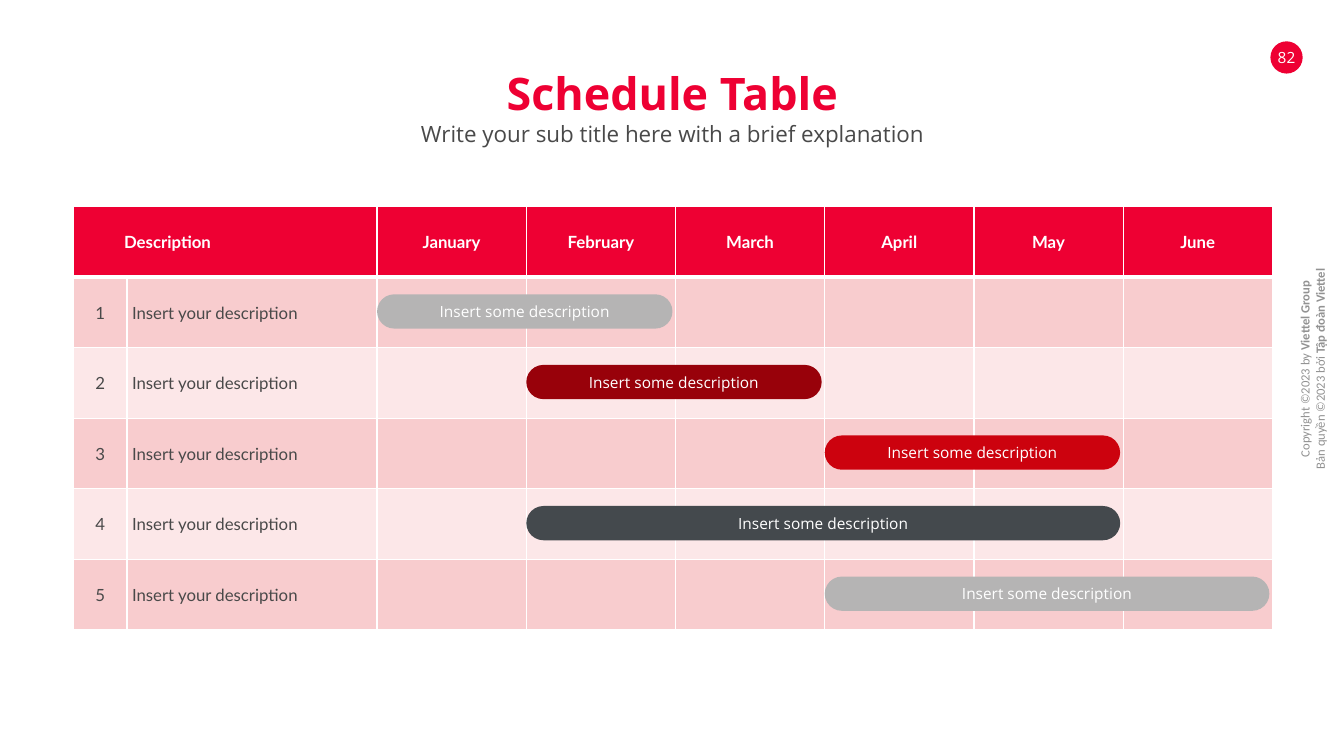
from dataclasses import dataclass
from lxml.etree import SubElement
from pptx import Presentation
from pptx.dml.color import RGBColor
from pptx.enum.shapes import MSO_SHAPE
from pptx.enum.text import MSO_ANCHOR, MSO_AUTO_SIZE, PP_ALIGN
from pptx.oxml.ns import qn
from pptx.util import Inches, Pt


@dataclass(frozen=True)
class Theme:
    red: str = "EE0033"
    dark_red: str = "98010A"
    mid_red: str = "CC020E"
    slate: str = "44494D"
    gray: str = "B5B4B4"
    text: str = "494949"
    muted: str = "929292"
    white: str = "FFFFFF"
    bands: tuple = ("F8CCCE", "FCE7E8")
    heading_font: str = "Open Sans"
    table_font: str = "Lato"
    note_font: str = "Calibri"
    title_size: int = 32
    subtitle_size: int = 16
    table_size: int = 12
    label_size: int = 11
    note_size: int = 9


def add_run(p, text, font, size, color, bold=False):
    r = p.add_run()
    r.text = text
    r.font.name = font
    r.font.size = Pt(size)
    r.font.bold = bold
    r.font.color.rgb = RGBColor.from_string(color)


def set_frame(tf, align=PP_ALIGN.CENTER, anchor=MSO_ANCHOR.TOP, margins=(0, 0, 0, 0)):
    tf.word_wrap = True
    tf.auto_size = MSO_AUTO_SIZE.NONE
    tf.vertical_anchor = anchor
    tf.margin_left, tf.margin_top, tf.margin_right, tf.margin_bottom = map(Inches, margins)
    p = tf.paragraphs[0]
    p.alignment = align
    return p


theme = Theme()
prs = Presentation()
prs.slide_width, prs.slide_height = Inches(13.33), Inches(7.5)
s = prs.slides.add_slide(prs.slide_layouts[5])

left, width = 0.73, 11.88
title = s.shapes.title
title.left, title.top, title.width, title.height = map(Inches, (left, 0.65, width, 0.54))
p = set_frame(title.text_frame)
add_run(p, "Schedule Table", theme.heading_font, theme.title_size, theme.red, True)

subtitle = s.shapes.add_textbox(*map(Inches, (left, 1.19, width, 0.27)))
p = set_frame(subtitle.text_frame)
add_run(p, "Write your sub title here with a brief explanation",
        theme.heading_font, theme.subtitle_size, theme.text)

copyright_box = s.shapes.add_textbox(*map(Inches, (10.71, 3.46, 4.61, 0.4)))
copyright_box.rotation = 270
tf = copyright_box.text_frame
p = set_frame(tf, margins=(0.1, 0.05, 0.1, 0.05))
for i, (notice, owner) in enumerate([("Copyright ©2023 by ", "Viettel Group"),
                                     ("Bản quyền ©2023 bởi ", "Tập đoàn Viettel")]):
    if i:
        p = tf.add_paragraph()
        p.alignment = PP_ALIGN.CENTER
    add_run(p, notice, theme.note_font, theme.note_size, theme.muted)
    add_run(p, owner, theme.note_font, theme.note_size, theme.muted, True)

months = ["January", "February", "March", "April", "May", "June"]
number_w, description_w, month_w = 0.53, 2.48, 1.48
table_top, row_h, row_count = 2.05, 0.7, 6
col_widths = [number_w, description_w] + [month_w] * len(months)
table = s.shapes.add_table(row_count, len(col_widths), *map(
    Inches, (left, table_top, sum(col_widths), row_h * row_count))).table
for column, col_w in zip(table.columns, col_widths):
    column.width = Inches(col_w)
for row in table.rows:
    row.height = Inches(row_h)

rows = [["Description", ""] + months]
rows += [[str(n), "Insert your description"] + [""] * len(months) for n in range(1, row_count)]
for i, row in enumerate(rows):
    for j, text in enumerate(row):
        cell = table.cell(i, j)
        tcPr = cell._tc.get_or_add_tcPr()
        for side in ("lnL", "lnR", "lnT", "lnB"):
            under_header = (i, side) in ((0, "lnB"), (1, "lnT"))
            ln = SubElement(tcPr, qn(f"a:{side}"), w=str(Pt(3 if under_header else 1)))
            SubElement(SubElement(ln, qn("a:solidFill")), qn("a:srgbClr"), val=theme.white)
        cell.fill.solid()
        fill = theme.bands[(i - 1) % 2] if i else theme.red
        cell.fill.fore_color.rgb = RGBColor.from_string(fill)
        cell.vertical_anchor = MSO_ANCHOR.MIDDLE
        cell.margin_left = Inches(0.5 if (i, j) == (0, 0) else 0.05)
        cell.margin_right = Inches(0.05)
        cell.margin_top = cell.margin_bottom = Inches(0.03)
        p = cell.text_frame.paragraphs[0]
        left_aligned = j == 1 or (i, j) == (0, 0)
        p.alignment = PP_ALIGN.LEFT if left_aligned else PP_ALIGN.CENTER
        if text:
            add_run(p, text, theme.table_font, theme.table_size,
                    theme.text if i else theme.white, i == 0)
table.cell(0, 0).merge(table.cell(0, 1))

badges = [(MSO_SHAPE.OVAL, 12.6, 0.41, 0.32, 0.32, theme.red, "82")]
tasks = [(0, 2, theme.gray), (1, 2, theme.dark_red), (3, 2, theme.mid_red),
         (1, 4, theme.slate), (3, 3, theme.gray)]
for i, (start, span, color) in enumerate(tasks, 1):
    badges.append((MSO_SHAPE.ROUNDED_RECTANGLE,
                   left + number_w + description_w + start * month_w,
                   table_top + i * row_h + 0.17, span * month_w - 0.03, 0.34,
                   color, "Insert some description"))
for kind, x, y, w, h, color, text in badges:
    sp = s.shapes.add_shape(kind, *map(Inches, (x, y, w, h)))
    sp.shadow.inherit = False
    sp.fill.solid()
    sp.fill.fore_color.rgb = RGBColor.from_string(color)
    sp.line.fill.background()
    if kind == MSO_SHAPE.ROUNDED_RECTANGLE:
        sp.adjustments[0] = 0.5
    p = set_frame(sp.text_frame, anchor=MSO_ANCHOR.MIDDLE)
    sp.text_frame.word_wrap = False
    add_run(p, text, theme.heading_font, theme.label_size, theme.white)

prs.save("out.pptx")
